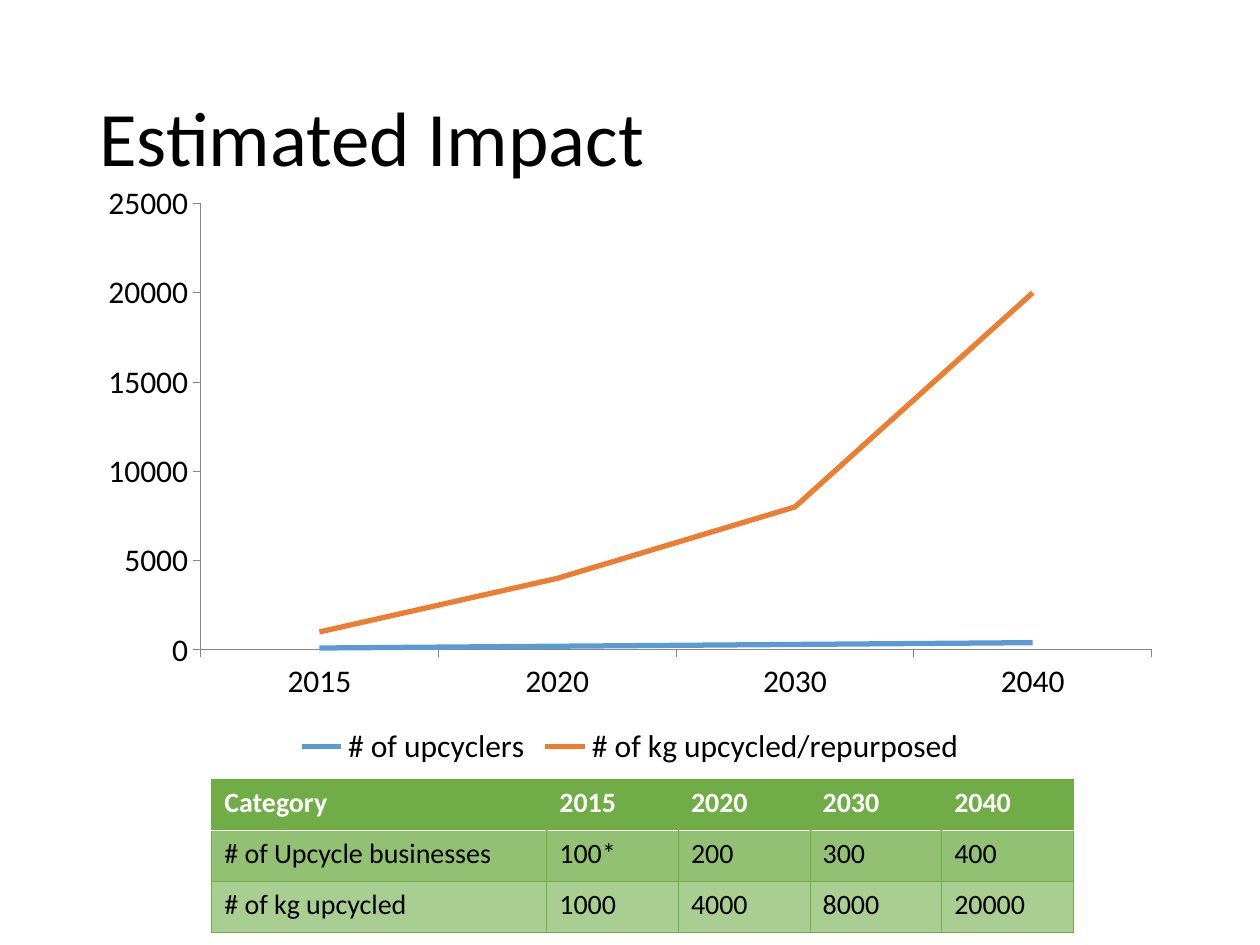
from lxml import etree
from pptx import Presentation
from pptx.chart.data import CategoryChartData
from pptx.dml.color import RGBColor
from pptx.enum.chart import XL_CHART_TYPE as ChartType
from pptx.enum.chart import XL_LEGEND_POSITION as LegendPos
from pptx.enum.chart import XL_TICK_MARK as TickMark
from pptx.enum.text import MSO_ANCHOR as Anchor
from pptx.enum.text import PP_ALIGN as Align
from pptx.oxml.ns import qn
from pptx.util import Pt

FONT = "Calibri"
BLACK, WHITE, GREEN, AXIS_GRAY = "000000", "FFFFFF", "70AD47", "878787"
BODY_FILLS = ["92C173", "A9CE91"]

YEARS = ["2015", "2020", "2030", "2040"]
IMPACT_SERIES = [
    ("# of upcyclers", [100, 200, 300, 400], "5B9BD5"),
    ("# of kg upcycled/repurposed", [1000, 4000, 8000, 20000], "ED7D31"),
]
IMPACT_ROWS = [
    ["Category", *YEARS],
    ["# of Upcycle businesses", "100*", "200", "300", "400"],
    ["# of kg upcycled", "1000", "4000", "8000", "20000"],
]


def rgb(value):
    return RGBColor.from_string(value)


def set_attributes(target, values):
    for key, value in values.items():
        setattr(target, key, value)


def format_font(font, size, color, bold=False):
    set_attributes(font, {"name": FONT, "size": Pt(size), "bold": bold})
    font.color.rgb = rgb(color)


def box_lengths(box):
    return [Pt(length) for length in box]


def add_title(slide, box, text):
    title = slide.shapes.title
    set_attributes(title, dict(zip(("left", "top", "width", "height"), box_lengths(box))))
    frame = title.text_frame
    set_attributes(frame, {"text": text, "vertical_anchor": Anchor.MIDDLE, "word_wrap": True})
    heading = frame.paragraphs[0]
    set_attributes(heading, {"alignment": Align.LEFT, "line_spacing": 0.9})
    format_font(heading.runs[0].font, 44, BLACK)


def add_impact_chart(slide, box):
    data = CategoryChartData()
    data.categories = YEARS
    for name, values, _ in IMPACT_SERIES:
        data.add_series(name, values)
    chart = slide.shapes.add_chart(ChartType.LINE, *box_lengths(box), data).chart
    set_attributes(chart, {"has_title": False, "has_legend": True})
    format_font(chart.font, 18, BLACK)
    set_attributes(chart.legend, {"position": LegendPos.BOTTOM, "include_in_layout": False})
    chart.plots[0].vary_by_categories = False

    # Axes
    for axis in (chart.category_axis, chart.value_axis):
        set_attributes(axis, {
            "has_major_gridlines": False,
            "major_tick_mark": TickMark.OUTSIDE,
            "minor_tick_mark": TickMark.NONE,
        })
        axis.format.line.color.rgb = rgb(AXIS_GRAY)
        axis.format.line.width = Pt(0.5)
    set_attributes(chart.value_axis, {
        "minimum_scale": 0, "maximum_scale": 25000, "major_unit": 5000,
    })

    # Lines
    for series, (_, _, color) in zip(chart.plots[0].series, IMPACT_SERIES):
        series.smooth = False
        series.format.line.color.rgb = rgb(color)
        series.format.line.width = Pt(3)


def add_border(cell, side, color, width):
    properties = cell._tc.get_or_add_tcPr()
    line = etree.SubElement(properties, qn(f"a:ln{side}"), w=str(Pt(width)))
    if color is None:
        etree.SubElement(line, qn("a:noFill"))
        return
    fill = etree.SubElement(line, qn("a:solidFill"))
    etree.SubElement(fill, qn("a:srgbClr"), val=color)


def cell_borders(row, column, last_column):
    borders = {side: (GREEN, 0.5) for side in "LRTB"}
    if row == 0:
        borders["B"] = (WHITE, 1)
        if column > 0:
            borders["L"] = (None, 0)
        if column < last_column:
            borders["R"] = (None, 0)
    elif row == 1:
        borders["T"] = (WHITE, 1)
    return borders


def add_impact_table(slide, box, category_width):
    row_count, column_count = len(IMPACT_ROWS), len(IMPACT_ROWS[0])
    table = slide.shapes.add_table(row_count, column_count, *box_lengths(box)).table
    year_width = (box[2] - category_width) / len(YEARS)
    for index, column in enumerate(table.columns):
        column.width = Pt(year_width if index else category_width)
    for row in table.rows:
        row.height = Pt(box[3] / row_count)

    for row, texts in enumerate(IMPACT_ROWS):
        is_header = row == 0
        for column, text in enumerate(texts):
            cell = table.cell(row, column)
            cell.text = text
            format_font(cell.text_frame.paragraphs[0].runs[0].font, 16,
                        WHITE if is_header else BLACK, is_header)
            for side, (color, width) in cell_borders(row, column, column_count - 1).items():
                add_border(cell, side, color, width)
            cell.fill.solid()
            cell.fill.fore_color.rgb = rgb(GREEN if is_header else BODY_FILLS[row - 1])


def main():
    deck = Presentation()
    set_attributes(deck, {"slide_width": Pt(720), "slide_height": Pt(540)})
    slide = deck.slides.add_slide(deck.slide_layouts[5])
    add_title(slide, (49.5, 28.75, 621, 104.4), "Estimated Impact")
    add_impact_chart(slide, (49.5, 98.6, 621, 342.7))
    add_impact_table(slide, (121, 445.4, 492.4, 87.6), 191.5)
    deck.save("out.pptx")


if __name__ == "__main__":
    main()
